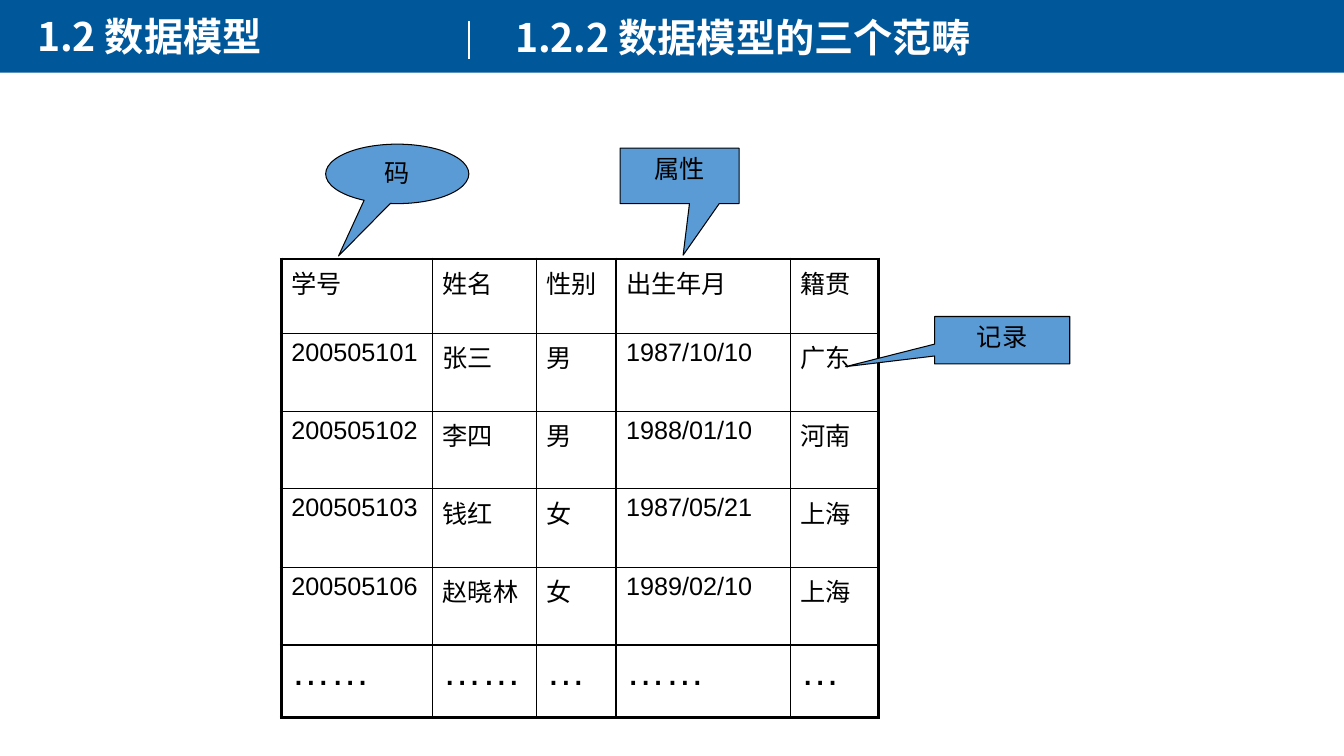
from lxml import etree
from pptx import Presentation
from pptx.dml.color import RGBColor
from pptx.enum import shapes, text
from pptx.oxml.ns import qn
from pptx.util import Inches, Pt

WHITE = RGBColor(0xFF, 0xFF, 0xFF)
BLACK = RGBColor(0, 0, 0)
BANNER_BLUE = RGBColor(0x00, 0x58, 0x9A)
CALLOUT_BLUE = RGBColor(0x5B, 0x9B, 0xD5)
LATIN, CHINESE = "Arial", "Noto Sans CJK SC"

HEADINGS = [
    ("1.2 数据模型", (0.27, 0.07, 5.53, 0.57)),
    ("1.2.2 数据模型的三个范畴", (5.01, 0.08, 7.52, 0.57)),
]
STUDENTS = [
    ("学号", "姓名", "性别", "出生年月", "籍贯"),
    ("200505101", "张三", "男", "1987/10/10", "广东"),
    ("200505102", "李四", "男", "1988/01/10", "河南"),
    ("200505103", "钱红", "女", "1987/05/21", "上海"),
    ("200505106", "赵晓林", "女", "1989/02/10", "上海"),
    ("……", "……", "…", "……", "…"),
]
COLUMN_WIDTHS = [1.5, 1.03, 0.79, 1.73, 0.87]
ROW_HEIGHTS = [0.74, 0.77, 0.77, 0.78, 0.77, 0.72]
RECT = shapes.MSO_SHAPE.RECTANGULAR_CALLOUT
OVAL = shapes.MSO_SHAPE.OVAL_CALLOUT
CALLOUTS = [
    ("记录", RECT, (9.27, 3.14, 1.34, 0.47), (-1.16, 0.56)),
    ("属性", RECT, (6.15, 1.47, 1.18, 0.55), (0.03, 1.43)),
    ("码", OVAL, (3.23, 1.43, 1.42, 0.59), (-0.41, 1.38)),
]


def inches(values):
    return [Inches(value) for value in values]


def write(frame, words, size, color, font=LATIN, bold=False):
    run = frame.paragraphs[0].add_run()
    run.text = words
    run.font.size = Pt(size)
    run.font.bold = bold
    run.font.color.rgb = color
    run.font.name = font
    etree.SubElement(run._r.get_or_add_rPr(), qn("a:ea"), typeface=CHINESE)


def add_border(cell, edge, width):
    border = etree.SubElement(cell._tc.get_or_add_tcPr(), qn(f"a:{edge}"), w=str(Pt(width)))
    fill = etree.SubElement(border, qn("a:solidFill"))
    etree.SubElement(fill, qn("a:srgbClr"), val=str(BLACK))


deck = Presentation()
deck.slide_width, deck.slide_height = Inches(13.33), Inches(7.5)
slide = deck.slides.add_slide(deck.slide_layouts[6])

banner = slide.shapes.add_shape(
    shapes.MSO_SHAPE.RECTANGLE, *inches((0, -0.02, 13.33, 0.74)))
banner.shadow.inherit = False
banner.fill.solid()
banner.fill.fore_color.rgb = BANNER_BLUE
banner.line.fill.background()

for words, place in HEADINGS:
    heading = slide.shapes.add_textbox(*inches(place)).text_frame
    heading.word_wrap = True
    write(heading, words, 28, WHITE, CHINESE, True)

divider = slide.shapes.add_connector(
    shapes.MSO_CONNECTOR.STRAIGHT, *inches((4.65, 0.21, 4.65, 0.59)))
divider.line.color.rgb = WHITE
divider.line.width = Pt(1.5)
etree.SubElement(divider._element.spPr, qn("a:effectLst"))

last_row, last_column = len(ROW_HEIGHTS) - 1, len(COLUMN_WIDTHS) - 1
students = slide.shapes.add_table(
    len(ROW_HEIGHTS), len(COLUMN_WIDTHS),
    *inches((2.79, 2.57, sum(COLUMN_WIDTHS), sum(ROW_HEIGHTS)))).table
students.first_row = students.horz_banding = False
for column, width in zip(students.columns, COLUMN_WIDTHS):
    column.width = Inches(width)
for row, height in zip(students.rows, ROW_HEIGHTS):
    row.height = Inches(height)

for r, record in enumerate(STUDENTS):
    for c, words in enumerate(record):
        cell = students.cell(r, c)
        write(cell.text_frame, words, 28 if r == last_row else 18, BLACK)
        outer_edges = {"lnL": c == 0, "lnR": c == last_column,
                       "lnT": r == 0, "lnB": r == last_row}
        for edge, is_outer in outer_edges.items():
            add_border(cell, edge, 2.25 if is_outer else 1)
        cell.fill.background()

for words, outline, place, pointer in CALLOUTS:
    callout = slide.shapes.add_shape(outline, *inches(place))
    callout.shadow.inherit = False
    callout.fill.solid()
    callout.fill.fore_color.rgb = CALLOUT_BLUE
    callout.line.color.rgb = BLACK
    callout.line.width = Pt(0.75)
    callout.adjustments[0], callout.adjustments[1] = pointer
    label = callout.text_frame
    label.word_wrap = True
    label.vertical_anchor = text.MSO_ANCHOR.TOP
    label.paragraphs[0].alignment = text.PP_ALIGN.CENTER
    write(label, words, 18, BLACK)

deck.save("out.pptx")
